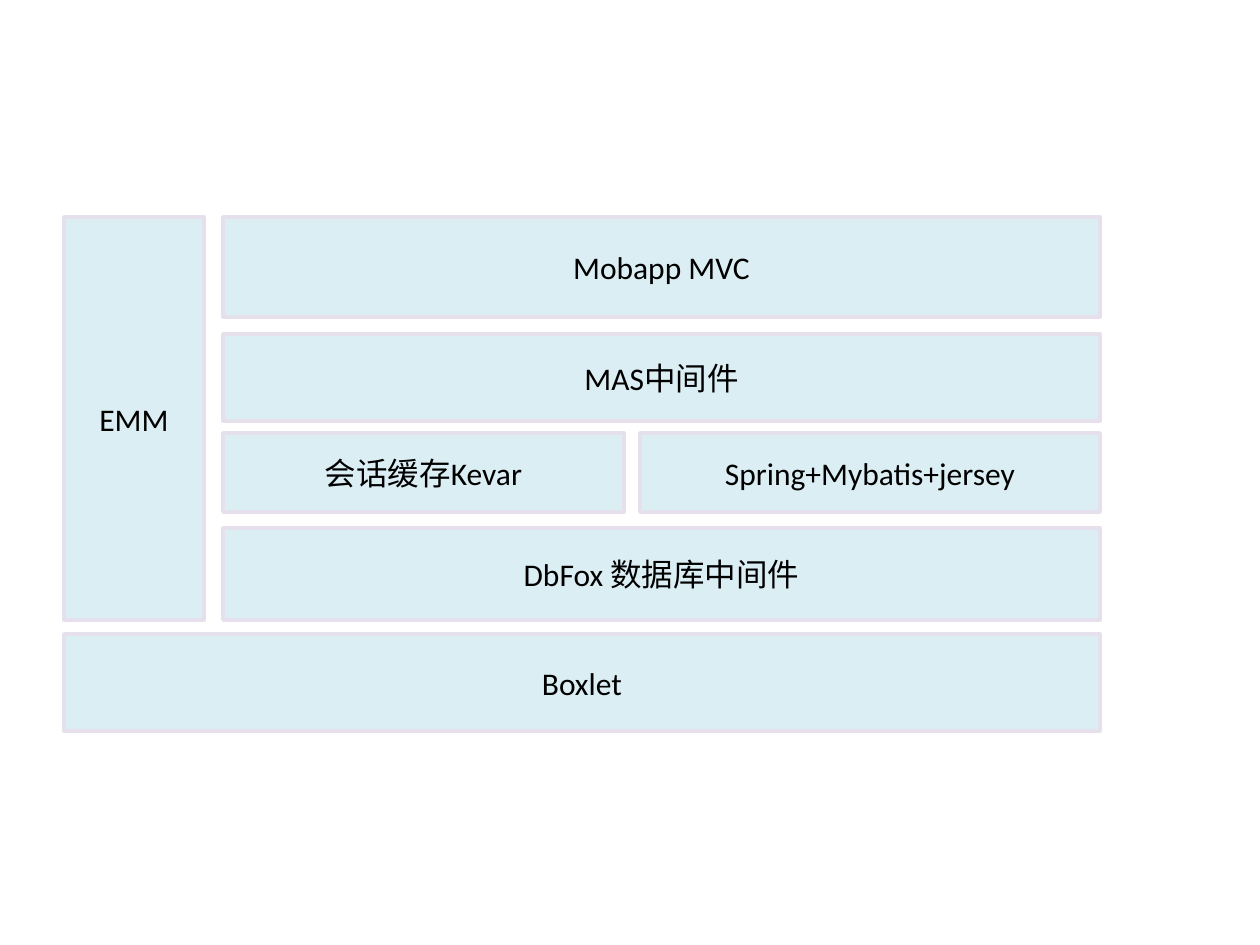
from dataclasses import dataclass

from pptx import Presentation
from pptx.dml.color import RGBColor
from pptx.enum.shapes import MSO_SHAPE
from pptx.enum.text import MSO_ANCHOR, PP_ALIGN
from pptx.util import Inches, Pt

PX_PER_INCH = 126


@dataclass(frozen=True)
class Theme:
    fill: RGBColor = RGBColor(0xDB, 0xEE, 0xF4)
    line: RGBColor = RGBColor(0xE6, 0xE0, 0xEC)
    text: RGBColor = RGBColor(0x00, 0x00, 0x00)
    font: str = "Calibri"
    text_size: int = 18
    line_width: int = 2


THEME = Theme()

LEFT = 64
STACK_LEFT = 223
RIGHT = 1100
CACHE_RIGHT = 624
FRAMEWORK_LEFT = 640
STACK_TOP = 217
STACK_BOTTOM = 620

LAYERS = [
    (STACK_TOP, 317, [("Mobapp MVC", STACK_LEFT, RIGHT)]),
    (334, 421, [("MAS中间件", STACK_LEFT, RIGHT)]),
    (433, 512, [("会话缓存Kevar", STACK_LEFT, CACHE_RIGHT),
                ("Spring+Mybatis+jersey", FRAMEWORK_LEFT, RIGHT)]),
    (528, STACK_BOTTOM, [("DbFox 数据库中间件", STACK_LEFT, RIGHT)]),
    (634, 731, [("Boxlet", LEFT, RIGHT)]),
]


def px(length):
    return Inches(length / PX_PER_INCH)


def add_block(slide, label, left, top, right, bottom):
    shape = slide.shapes.add_shape(
        MSO_SHAPE.RECTANGLE, px(left), px(top), px(right - left), px(bottom - top))
    shape.shadow.inherit = False
    shape.fill.solid()
    shape.fill.fore_color.rgb = THEME.fill
    shape.line.color.rgb = THEME.line
    shape.line.width = Pt(THEME.line_width)
    text_frame = shape.text_frame
    text_frame.word_wrap = True
    text_frame.vertical_anchor = MSO_ANCHOR.MIDDLE
    paragraph = text_frame.paragraphs[0]
    paragraph.alignment = PP_ALIGN.CENTER
    run = paragraph.add_run()
    run.text = label
    run.font.name = THEME.font
    run.font.size = Pt(THEME.text_size)
    run.font.color.rgb = THEME.text


def main():
    presentation = Presentation()
    presentation.slide_width = Inches(10)
    presentation.slide_height = Inches(7.5)
    slide = presentation.slides.add_slide(presentation.slide_layouts[6])
    add_block(slide, "EMM", LEFT, STACK_TOP, 204, STACK_BOTTOM)
    for top, bottom, blocks in LAYERS:
        for label, left, right in blocks:
            add_block(slide, label, left, top, right, bottom)
    presentation.save("out.pptx")


if __name__ == "__main__":
    main()
